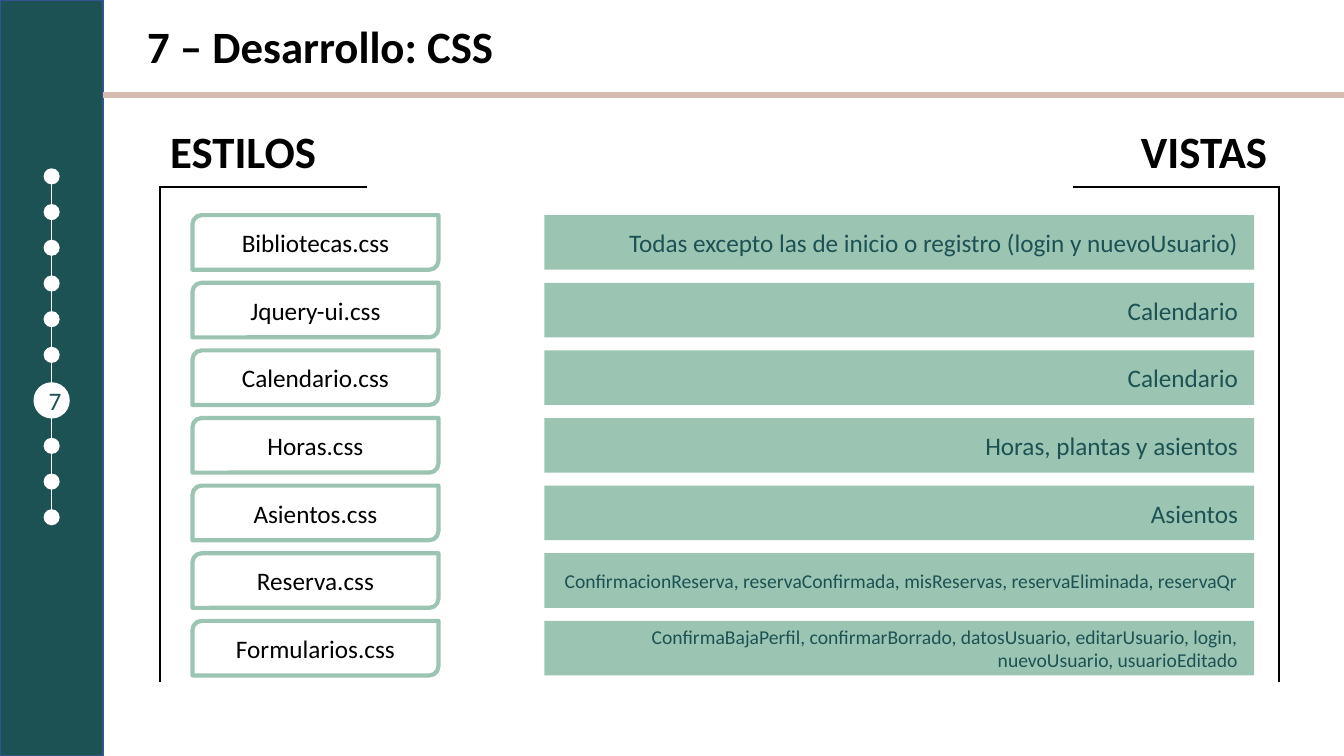
from dataclasses import dataclass

from lxml.etree import SubElement
from pptx import Presentation
from pptx.dml.color import RGBColor
from pptx.enum.shapes import MSO_CONNECTOR, MSO_SHAPE
from pptx.enum.text import MSO_ANCHOR, MSO_AUTO_SIZE, PP_ALIGN
from pptx.oxml.ns import qn
from pptx.util import Pt


@dataclass(frozen=True)
class Theme:
    """Colours, font and type sizes of the slide."""
    dark: str = "1C5253"
    sage: str = "9CC4B2"
    rose: str = "D5BBB1"
    edge: str = "325491"
    white: str = "FFFFFF"
    black: str = "000000"
    font: str = "Calibri"
    heading: int = 32
    body: int = 18
    small: int = 14


T = Theme()

ROWS = [
    ("Bibliotecas.css", "Todas excepto las de inicio o registro (login y nuevoUsuario)", T.body),
    ("Jquery-ui.css", "Calendario", T.body),
    ("Calendario.css", "Calendario", T.body),
    ("Horas.css", "Horas, plantas y asientos", T.body),
    ("Asientos.css", "Asientos", T.body),
    ("Reserva.css", "ConfirmacionReserva, reservaConfirmada, misReservas, "
     "reservaEliminada, reservaQr", T.small),
    ("Formularios.css", "ConfirmaBajaPerfil, confirmarBorrado, datosUsuario, editarUsuario, "
     "login, nuevoUsuario, usuarioEditado", T.small),
]
ROW_TOP, ROW_PITCH, ROW_HEIGHT = 153.7, 48.3, 39
SECTIONS, CURRENT = 10, 7
DOT_CENTER, DOT_TOP, DOT_PITCH, CURRENT_EXTRA = 36.9, 126, 25.5, 7


def write(sp, text, size, color, align, bold=False):
    """Write one middle-anchored line of text into a shape."""
    tf = sp.text_frame
    tf.word_wrap = True
    tf.auto_size = MSO_AUTO_SIZE.NONE
    tf.vertical_anchor = MSO_ANCHOR.MIDDLE
    p = tf.paragraphs[0]
    p.alignment = align
    r = p.add_run()
    r.text = text
    r.font.name = T.font
    r.font.size = Pt(size)
    r.font.bold = bold
    r.font.color.rgb = RGBColor.from_string(color)
    return p


def add_box(s, kind, left, top, width, height, fill, line=None, weight=1):
    """Add a filled preset shape, outlined if a line colour is given."""
    sp = s.shapes.add_shape(kind, Pt(left), Pt(top), Pt(width), Pt(height))
    sp.shadow.inherit = False
    sp.fill.solid()
    sp.fill.fore_color.rgb = RGBColor.from_string(fill)
    if line:
        sp.line.color.rgb = RGBColor.from_string(line)
        sp.line.width = Pt(weight)
    else:
        sp.line.fill.background()
    return sp


def add_line(s, x1, y1, x2, y2, color, weight):
    """Add a straight line without shadow."""
    c = s.shapes.add_connector(MSO_CONNECTOR.STRAIGHT, Pt(x1), Pt(y1), Pt(x2), Pt(y2))
    c.line.color.rgb = RGBColor.from_string(color)
    c.line.width = Pt(weight)
    SubElement(c._element.spPr, qn("a:effectLst"))


def write_heading(sp, left, top, width, text, align):
    """Place a heading box and write its bold text."""
    sp.left, sp.top, sp.width, sp.height = Pt(left), Pt(top), Pt(width), Pt(45.4)
    p = write(sp, text, T.heading, T.black, align, bold=True)
    p.line_spacing = 0.9
    p.space_before = Pt(0)


def add_dot(s, middle, size):
    """Add a white dot centred on the progress line."""
    return add_box(s, MSO_SHAPE.OVAL, DOT_CENTER - size / 2, middle - size / 2,
                   size, size, T.white)


def add_progress(s):
    """Draw the side band with one dot per section and the current number."""
    add_box(s, MSO_SHAPE.RECTANGLE, 0, 0, 73.7, 540, T.dark, T.edge)
    add_line(s, DOT_CENTER, 127.4, DOT_CENTER, 368.6, T.white, 0.5)
    for n in range(1, SECTIONS + 1):
        shift = CURRENT_EXTRA * ((n >= CURRENT) + (n > CURRENT))
        middle = DOT_TOP + (n - 1) * DOT_PITCH + shift
        if n == CURRENT:
            write(add_dot(s, middle, 25.9), str(n), T.body, T.dark, PP_ALIGN.CENTER)
        else:
            add_dot(s, middle, 11.5)


def add_column(s, title, left, align, edge, inner):
    """Add a column heading with its corner bracket."""
    sp = s.shapes.add_textbox(0, 0, 0, 0)
    write_heading(sp, left, 87.5, 175.7, title, align)
    add_line(s, edge, 132.7, edge, 487.4, T.black, 1.5)
    add_line(s, edge, 133.7, inner, 133.7, T.black, 1.5)


def add_row(s, top, style, views, size):
    """Add a style sheet label and the bar of views that use it."""
    label = add_box(s, MSO_SHAPE.ROUND_2_DIAG_RECTANGLE, 137.5, top, 175.7, ROW_HEIGHT,
                    T.white, T.sage, 3)
    write(label, style, T.body, T.black, PP_ALIGN.CENTER)
    bar = add_box(s, MSO_SHAPE.RECTANGLE, 388.8, top, 507, ROW_HEIGHT, T.sage)
    bar.text_frame.margin_right = Pt(11.5)
    write(bar, views, size, T.dark, PP_ALIGN.RIGHT)


def main():
    """Build and save the slide."""
    prs = Presentation()
    prs.slide_width, prs.slide_height = Pt(960), Pt(540)
    s = prs.slides.add_slide(prs.slide_layouts[5])
    write_heading(s.shapes.title, 97.9, 12.2, 650, "7 – Desarrollo: CSS", PP_ALIGN.LEFT)
    add_progress(s)
    add_line(s, 73.7, 67.7, 960, 67.7, T.rose, 4)
    add_column(s, "ESTILOS", 114.5, PP_ALIGN.LEFT, 114.5, 262)
    add_column(s, "VISTAS", 736.6, PP_ALIGN.RIGHT, 913.7, 766.1)
    for i, (style, views, size) in enumerate(ROWS):
        add_row(s, ROW_TOP + i * ROW_PITCH, style, views, size)
    prs.save("out.pptx")


if __name__ == "__main__":
    main()
